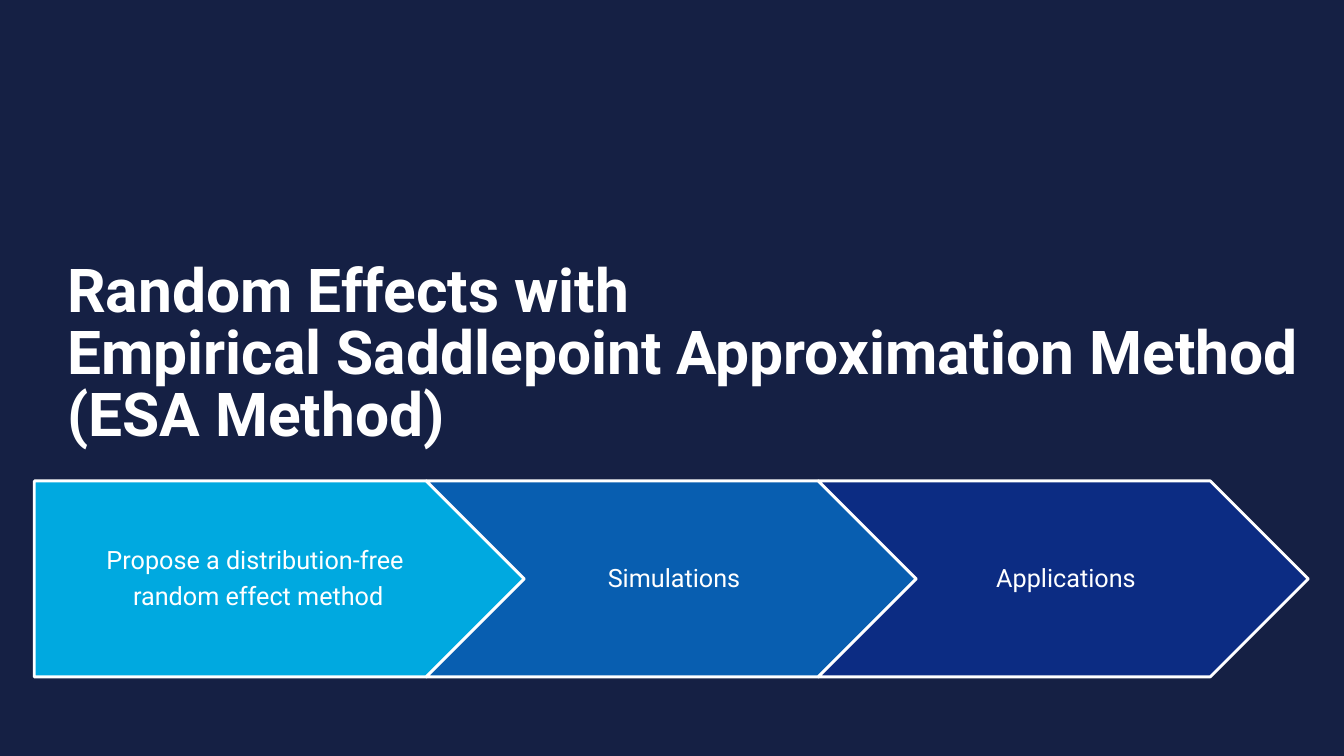
from pptx import Presentation
from pptx.dml.color import RGBColor
from pptx.enum.shapes import MSO_SHAPE
from pptx.enum.text import MSO_ANCHOR, PP_ALIGN
from pptx.util import Pt

RECTANGLE, PENTAGON, CHEVRON = MSO_SHAPE.RECTANGLE, MSO_SHAPE.PENTAGON, MSO_SHAPE.CHEVRON
MIDDLE, BOTTOM = MSO_ANCHOR.MIDDLE, MSO_ANCHOR.BOTTOM
LEFT, CENTER = PP_ALIGN.LEFT, PP_ALIGN.CENTER

WIDTH, HEIGHT = 960, 540
NAVY, WHITE = "152044", "FFFFFF"


def color(value):
    return RGBColor.from_string(value)


def apply(target, values):
    for name, value in values.items():
        setattr(target, name, value)


class SlideBuilder:
    """Holds the text style and the current slide."""

    font = {"name": "Roboto"}

    def __init__(self, slide):
        self.slide = slide

    def shape(self, kind, box, fill, line=None):
        shape = self.slide.shapes.add_shape(kind, *map(Pt, box))
        shape.shadow.inherit = False
        shape.fill.solid()
        shape.fill.fore_color.rgb = color(fill)
        if line:
            shape.line.color.rgb = color(line)
            shape.line.width = Pt(2)
        else:
            shape.line.fill.background()

    def text(self, paragraphs, box, frame_format, paragraph_format, font_format):
        frame = self.slide.shapes.add_textbox(*map(Pt, box)).text_frame
        apply(frame, {"word_wrap": True, **frame_format})
        for index, content in enumerate(paragraphs):
            paragraph = frame.add_paragraph() if index else frame.paragraphs[0]
            paragraph.text = content
            apply(paragraph, paragraph_format)
            for run in paragraph.runs:
                apply(run.font, {**self.font, **font_format})
                run.font.color.rgb = color(WHITE)


def main():
    presentation = Presentation()
    presentation.slide_width, presentation.slide_height = Pt(WIDTH), Pt(HEIGHT)
    builder = SlideBuilder(presentation.slides.add_slide(presentation.slide_layouts[6]))

    # Background
    builder.shape(RECTANGLE, (0, 0, WIDTH, HEIGHT), NAVY)

    # Title
    builder.text(
        ["Random Effects with \vEmpirical Saddlepoint Approximation Method\v(ESA Method)"],
        (41, 198, 919, 126),
        {"vertical_anchor": BOTTOM},
        {"alignment": LEFT, "line_spacing": 0.85},
        {"size": Pt(43.2), "bold": True},
    )

    # Process arrows: each tip lies in the notch of the next arrow
    left, top, width, height = 24.5, 343.5, 350, 140
    notch = height / 2
    steps = [
        (PENTAGON, "00A9E0", ["Propose a distribution-free ", "random effect method"]),
        (CHEVRON, "085EB0", ["Simulations"]),
        (CHEVRON, "0C2C83", ["Applications"]),
    ]
    for index, (kind, fill, paragraphs) in enumerate(steps):
        arrow_left = left + index * (width - notch)
        indent = notch if kind == CHEVRON else 0
        text_width = width - indent - (notch if indent else notch / 2)
        builder.shape(kind, (arrow_left, top, width, height), fill, WHITE)
        builder.text(
            paragraphs,
            (arrow_left + indent, top, text_width, height),
            {"vertical_anchor": MIDDLE, "margin_right": Pt(2),
             "margin_left": Pt(6 if indent else 7)},
            {"alignment": CENTER, "line_spacing": 0.9, "space_after": Pt(6.3)},
            {"size": Pt(18)},
        )

    presentation.save("out.pptx")


if __name__ == "__main__":
    main()
